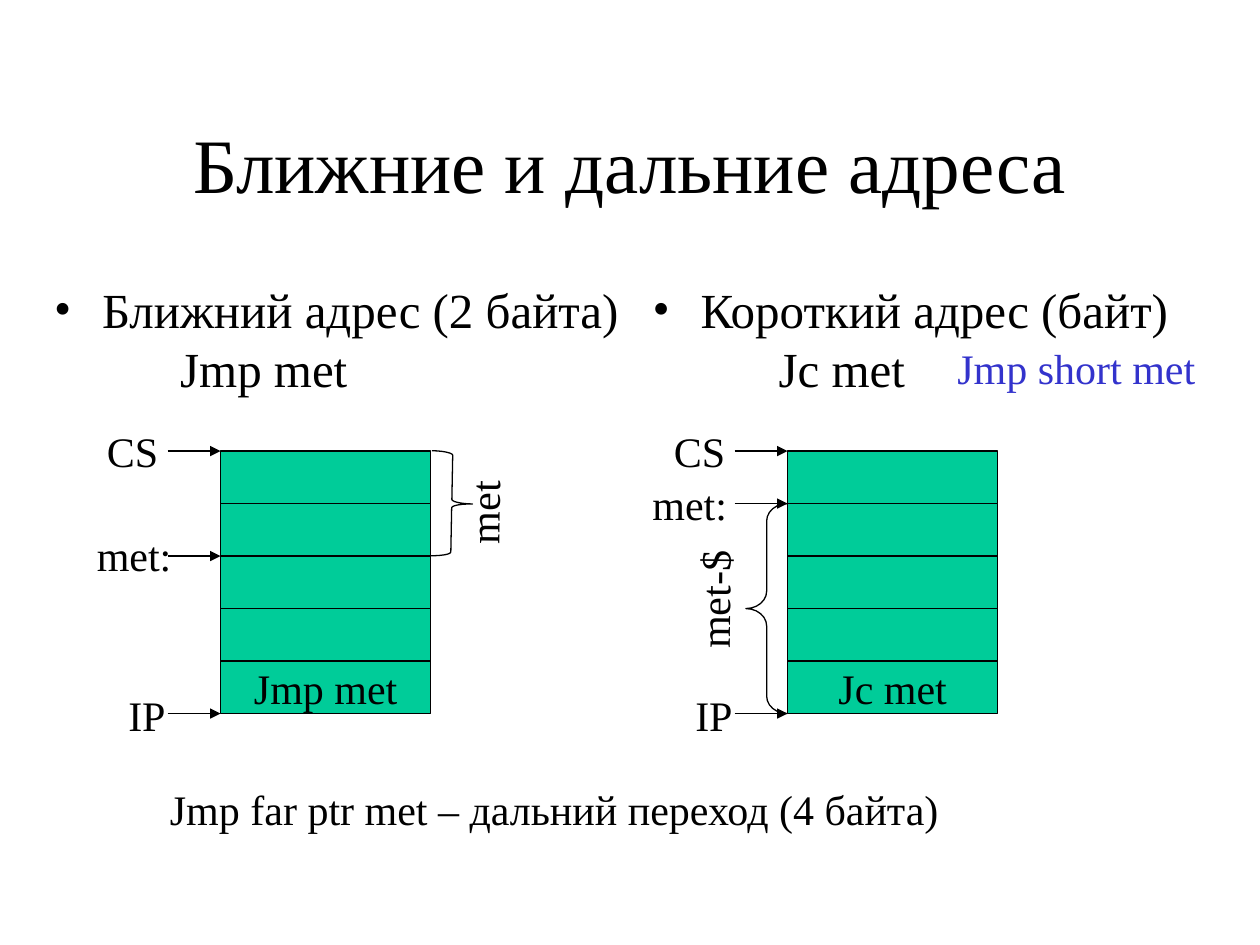
"""Build a slide comparing near, short and far jump addresses."""
from dataclasses import dataclass

from pptx import Presentation
from pptx.dml.color import RGBColor
from pptx.enum.shapes import MSO_CONNECTOR as Connector, MSO_SHAPE as Shape
from pptx.enum.text import MSO_ANCHOR as Anchor, MSO_AUTO_SIZE as AutoSize, PP_ALIGN as Align
from pptx.oxml.ns import qn
from pptx.util import Inches, Pt
from lxml.etree import SubElement


@dataclass(frozen=True)
class Theme:
    font: str = "Times New Roman"
    ink: RGBColor = RGBColor(0x00, 0x00, 0x00)
    cell: RGBColor = RGBColor(0x00, 0xCC, 0x99)
    accent: RGBColor = RGBColor(0x33, 0x33, 0xCC)
    title: Pt = Pt(44)
    body: Pt = Pt(28)
    label: Pt = Pt(24)
    line: Pt = Pt(0.75)


theme = Theme()


def write(box, text, size, color=theme.ink, align=Align.LEFT, before=Pt(0), **frame_format):
    frame = box.text_frame
    margins = {"margin_left": Inches(0.1), "margin_right": Inches(0.1),
               "margin_top": Inches(0.05), "margin_bottom": Inches(0.05)}
    defaults = {"word_wrap": True, "auto_size": AutoSize.NONE, "vertical_anchor": Anchor.TOP}
    for name, value in {**margins, **defaults, **frame_format}.items():
        setattr(frame, name, value)
    para = frame.paragraphs[0]
    para.text = text
    para.alignment, para.space_before = align, before
    for span in para.runs:
        for name, value in {"name": theme.font, "size": size}.items():
            setattr(span.font, name, value)
        span.font.color.rgb = color
    return para


def add_label(text, left, top, width, color=theme.ink, rotation=0):
    box = page.shapes.add_textbox(Inches(left), Inches(top), Inches(width), Inches(0.5))
    box.rotation = rotation
    write(box, text, theme.label, color, before=Pt(15), auto_size=AutoSize.SHAPE_TO_FIT_TEXT)


deck = Presentation()
deck.slide_width, deck.slide_height = Inches(10), Inches(7.5)
page = deck.slides.add_slide(deck.slide_layouts[3])
title, near_list, short_list = page.placeholders

for box, place in (
    (title, (0.75, 0.67, 8.5, 1.25)),
    (near_list, (0.33, 2.17, 4.92, 4.5)),
    (short_list, (5.08, 2.17, 4.67, 4.5)),
):
    box.left, box.top, box.width, box.height = map(Inches, place)

write(title, "Ближние и дальние адреса", theme.title, align=Align.CENTER,
      vertical_anchor=Anchor.MIDDLE)

for box, text in (
    (near_list, "Ближний адрес (2 байта)\v\tJmp mеt"),
    (short_list, "Короткий адрес (байт)\v\tJc mеt"),
):
    para = write(box, text, theme.body, before=Pt(7))
    props = para._p.get_or_add_pPr()
    props.set("marL", str(Inches(0.38)))
    props.set("indent", str(-Inches(0.38)))
    SubElement(props, qn("a:buFont"), typeface=theme.font)
    SubElement(props, qn("a:buChar"), char="•")
    tabs = SubElement(props, qn("a:tabLst"))
    for stop in range(1, 9):
        SubElement(tabs, qn("a:tab"), pos=str(Inches(stop)), algn="l")

memory_top, cell_width, cell_height, cell_count = 3.58, 1.67, 1.25 / 3, 5
arrow_length, brace_width = 0.42, 0.33

diagrams = (
    {"left": 1.75, "command": "Jmp met", "target": 2,
     "labels": (("CS", 0.75, 3.33, 0.75), ("met:", 0.67, 4.15, 0.83), ("IP", 0.92, 5.42, 0.5)),
     "span": ("met", 3.46, 3.79, 0.75),
     "brace": {"left": 3.42, "first": 0, "rows": 2, "curve": 0.1, "rotation": 181.1}},
    {"left": 6.25, "command": "Jc met", "target": 1,
     "labels": (("CS", 5.25, 3.33, 0.75), ("met:", 5.08, 3.75, 0.92), ("IP", 5.42, 5.42, 0.5)),
     "span": ("met-$", 5.08, 4.41, 1.17),
     "brace": {"left": 5.92, "first": 1, "rows": 4, "curve": 0.42, "rotation": 0}},
)

for diagram in diagrams:
    left, brace_format = diagram["left"], diagram["brace"]
    for row in range(cell_count):
        cell = page.shapes.add_shape(
            Shape.RECTANGLE, Inches(left), Inches(memory_top + row * cell_height),
            Inches(cell_width), Inches(cell_height))
        cell.shadow.inherit = False
        cell.fill.solid()
        cell.fill.fore_color.rgb = theme.cell
        cell.line.color.rgb, cell.line.width = theme.ink, theme.line
    write(cell, diagram["command"], theme.label, align=Align.CENTER,
          vertical_anchor=Anchor.MIDDLE, word_wrap=False)

    for row in (0, diagram["target"], cell_count):
        height = Inches(memory_top + row * cell_height)
        arrow = page.shapes.add_connector(
            Connector.STRAIGHT, Inches(left - arrow_length), height, Inches(left), height)
        arrow.line.color.rgb, arrow.line.width = theme.ink, theme.line
        SubElement(arrow.line._get_or_add_ln(), qn("a:tailEnd"), type="triangle")
        SubElement(arrow._element.spPr, qn("a:effectLst"))

    brace = page.shapes.add_shape(
        Shape.LEFT_BRACE, Inches(brace_format["left"]),
        Inches(memory_top + brace_format["first"] * cell_height),
        Inches(brace_width), Inches(brace_format["rows"] * cell_height))
    brace.adjustments[0] = brace_format["curve"]
    brace.rotation = brace_format["rotation"]
    brace.shadow.inherit = False
    brace.fill.background()
    brace.line.color.rgb, brace.line.width = theme.ink, theme.line

    for label in diagram["labels"]:
        add_label(*label)
    add_label(*diagram["span"], rotation=270.6)

add_label("Jmp short met", 7.5, 2.67, 2.17, theme.accent)
add_label("Jmp far ptr met – дальний переход (4 байта)", 1.25, 6.17, 7.58)

deck.save("out.pptx")
